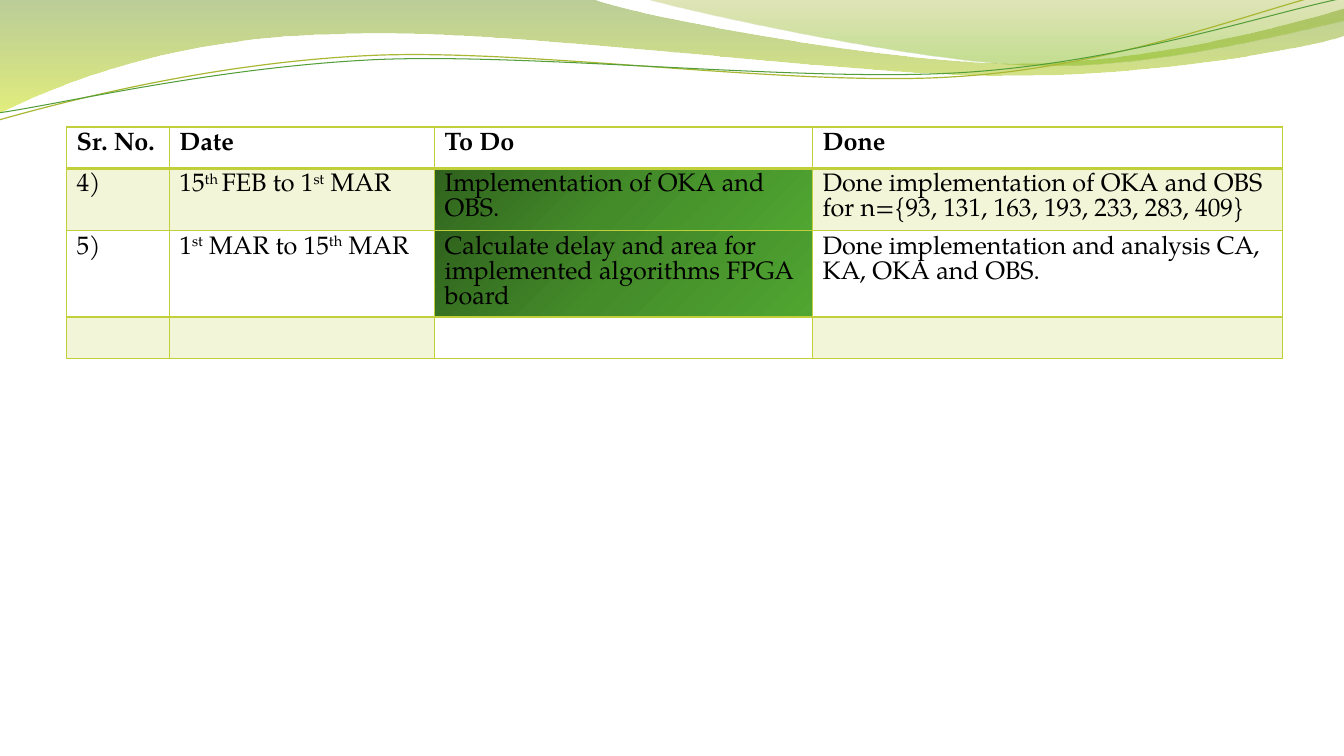
from math import cos, radians, sin

from lxml.etree import SubElement
from pptx import Presentation
from pptx.dml.color import RGBColor
from pptx.oxml import parse_xml
from pptx.oxml.ns import nsdecls, qn
from pptx.util import Inches, Pt

FONT = "TeX Gyre Pagella"
LIME = "C0CF3A"
TABLE_BOX = (0.66, 1.26, 12.06, 2.51)
COLUMNS = [1.02, 2.63, 3.75, 4.66]
ROWS = [0.41, 0.62, 0.41, 0.41]
STRAND_TURN = 357.3
TASK_STOPS = [(0, "30621D", 100), (50, "448C2A", 100), (100, "50A631", 100)]

# Text between carets is raised.
SCHEDULE = [
    ["Sr. No.", "Date", "To Do", "Done"],
    ["4)", "15^th ^FEB to 1^st^ MAR", "Implementation of OKA and OBS.",
     "Done implementation of OKA and OBS for n={93, 131, 163, 193, 233, 283, 409}"],
    ["5)", "1^st^ MAR to 15^th^ MAR",
     "Calculate delay and area for implemented algorithms FPGA board",
     "Done implementation and analysis CA, KA, OKA and OBS."],
    ["", "", "", ""],
]

# One point is a straight step, three are a Bézier curve.
LEFT_WAVE = [
    [(0, 0)], [(5.87, -0.01)],
    [(6.34, 0.17), (8.84, 0.63), (10.11, 0.63)],
    [(11.37, 0.63), (12.77, 0.26), (13.33, 0.09)],
    [(13.34, 0.36)],
    [(13.11, 0.44), (11.59, 0.76), (9.94, 0.75)],
    [(8.29, 0.75), (5.09, 0.28), (3.43, 0.34)],
    [(1.72, 0.36), (0.61, 0.83), (-0.02, 1.13)],
    [(0, 0)],
]
RIGHT_WAVE = [
    [(6.38, -0.01)],
    [(6.79, 0.11), (9.09, 0.62), (10.25, 0.65)],
    [(11.4, 0.69), (12.82, 0.32), (13.33, 0.21)],
    [(13.33, 0)], [(6.38, -0.01)],
]
OLIVE_STRAND = [
    [(-0.01, 1.19)],
    [(0.63, 1.01), (2.1, 0.62), (3.69, 0.55)],
    [(5.27, 0.48), (7.89, 0.87), (9.49, 0.76)],
    [(11.1, 0.66), (12.51, 0.08), (13.3, -0.1)],
]
GREEN_STRAND = [
    [(-0.01, 1.12)],
    [(0.62, 1.03), (2.18, 0.66), (3.77, 0.59)],
    [(5.37, 0.53), (7.96, 0.82), (9.55, 0.72)],
    [(11.14, 0.62), (12.55, 0.14), (13.33, -0.02)],
]


def color(value):
    return RGBColor.from_string(value)


def set_gradient(fill, holder, stops, angle):
    """Fill with (position, colour, opacity) stops, angle clockwise in degrees."""
    fill.gradient()
    fill.gradient_angle = 360 - angle
    stop_list = holder.find(qn("a:gradFill")).find(qn("a:gsLst"))
    for old_stop in list(stop_list):
        stop_list.remove(old_stop)
    for position, value, opacity in stops:
        stop = SubElement(stop_list, qn("a:gs"), pos=str(position * 1000))
        tint = SubElement(stop, qn("a:srgbClr"), val=value)
        SubElement(tint, qn("a:alpha"), val=str(opacity * 1000))


def to_local(point, box, turn):
    """Give a slide point in the frame of a box turned about its centre."""
    left, top, width, height = box
    x, y = point[0] - left - width / 2, point[1] - top - height / 2
    angle = radians(-turn)
    return (Inches(x * cos(angle) - y * sin(angle) + width / 2),
            Inches(x * sin(angle) + y * cos(angle) + height / 2))


def add_outline(page, steps, box, turn=0, closed=False):
    """Build a freeform in the box and bend its three-point steps."""
    local = [[to_local(point, box, turn) for point in step] for step in steps]
    builder = page.shapes.build_freeform(*local[0][-1])
    builder.add_line_segments([step[-1] for step in local[1:]], close=closed)
    shape = builder.convert_to_shape()
    shape.left, shape.top, shape.width, shape.height = map(Inches, box)
    shape.rotation = turn
    shape.shadow.inherit = False
    outline = next(shape._element.iter(qn("a:pathLst")))[0]
    outline.set("w", str(shape.width))
    outline.set("h", str(shape.height))
    for command, points in zip(list(outline), local):
        if len(points) == 3:
            command.tag = qn("a:cubicBezTo")
        for old_point in list(command):
            command.remove(old_point)
        for x, y in points:
            SubElement(command, qn("a:pt"), x=str(x), y=str(y))
    return shape


def add_wave(page, steps, box, stops):
    wave = add_outline(page, steps, box, closed=True)
    wave.line.fill.background()
    set_gradient(wave.fill, wave._element.spPr, stops, 90)


def add_strand(page, steps, box, value, width):
    strand = add_outline(page, steps, box, turn=STRAND_TURN)
    strand.fill.background()
    strand.line.color.rgb = color(value)
    strand.line.width = Pt(width)


def write_text(frame, text, *, size=18, bold=False, value="000000"):
    para = frame.paragraphs[0]
    for index, part in enumerate(text.split("^")):
        if not part:
            continue
        span = para.add_run()
        span.text = part
        span.font.name = FONT
        span.font.size = Pt(size)
        span.font.bold = bold
        span.font.color.rgb = color(value)
        if index % 2:
            span._r.get_or_add_rPr().set("baseline", "30000")


def set_borders(cell, **widths):
    properties = cell._tc.get_or_add_tcPr()
    for index, side in enumerate("LRTB"):
        width = Pt(widths.get(side, 1))
        properties.insert(index, parse_xml(
            f'<a:ln{side} {nsdecls("a")} w="{width}"><a:solidFill>'
            f'<a:srgbClr val="{LIME}"/></a:solidFill></a:ln{side}>'))


def fill_cell(cell, row, column):
    properties = cell._tc.get_or_add_tcPr()
    if column == 2 and row in (1, 2):
        set_gradient(cell.fill, properties, TASK_STOPS, 45)
    elif row % 2 and column != 2:
        cell.fill.solid()
        cell.fill.fore_color.rgb = color(LIME)
        tint = properties.find(qn("a:solidFill")).find(qn("a:srgbClr"))
        SubElement(tint, qn("a:alpha"), val="20000")
    else:
        cell.fill.background()


def add_schedule(page):
    frame = page.shapes.add_table(len(ROWS), len(COLUMNS), *map(Inches, TABLE_BOX))
    table = frame.table
    table.horz_banding = False
    table.first_row = False
    for column, width in zip(table.columns, COLUMNS):
        column.width = Inches(width)
    for row, height in zip(table.rows, ROWS):
        row.height = Inches(height)
    frame.height = Inches(TABLE_BOX[3])
    for row, texts in enumerate(SCHEDULE):
        for column, text in enumerate(texts):
            cell = table.cell(row, column)
            write_text(cell.text_frame, text, bold=row == 0)
            fill_cell(cell, row, column)
            set_borders(cell, B=2 if row == 0 else 1)


def main():
    deck = Presentation()
    deck.slide_width, deck.slide_height = Inches(13.33), Inches(7.5)
    page = deck.slides.add_slide(deck.slide_layouts[6])
    add_wave(page, LEFT_WAVE, (-0.02, -0.01, 13.36, 1.14),
             [(0, "69921C", 45), (100, "CCE10F", 55)])
    add_wave(page, RIGHT_WAVE, (6.38, -0.01, 6.94, 0.7),
             [(0, "9BAA1A", 30), (80, "81BA16", 45)])
    add_strand(page, OLIVE_STRAND, (-0.03, 0.22, 13.36, 0.71), "A9B733", 0.85)
    add_strand(page, GREEN_STRAND, (-0.02, 0.3, 13.38, 0.58), "549E39", 0.75)
    add_schedule(page)
    deck.save("out.pptx")


if __name__ == "__main__":
    main()
